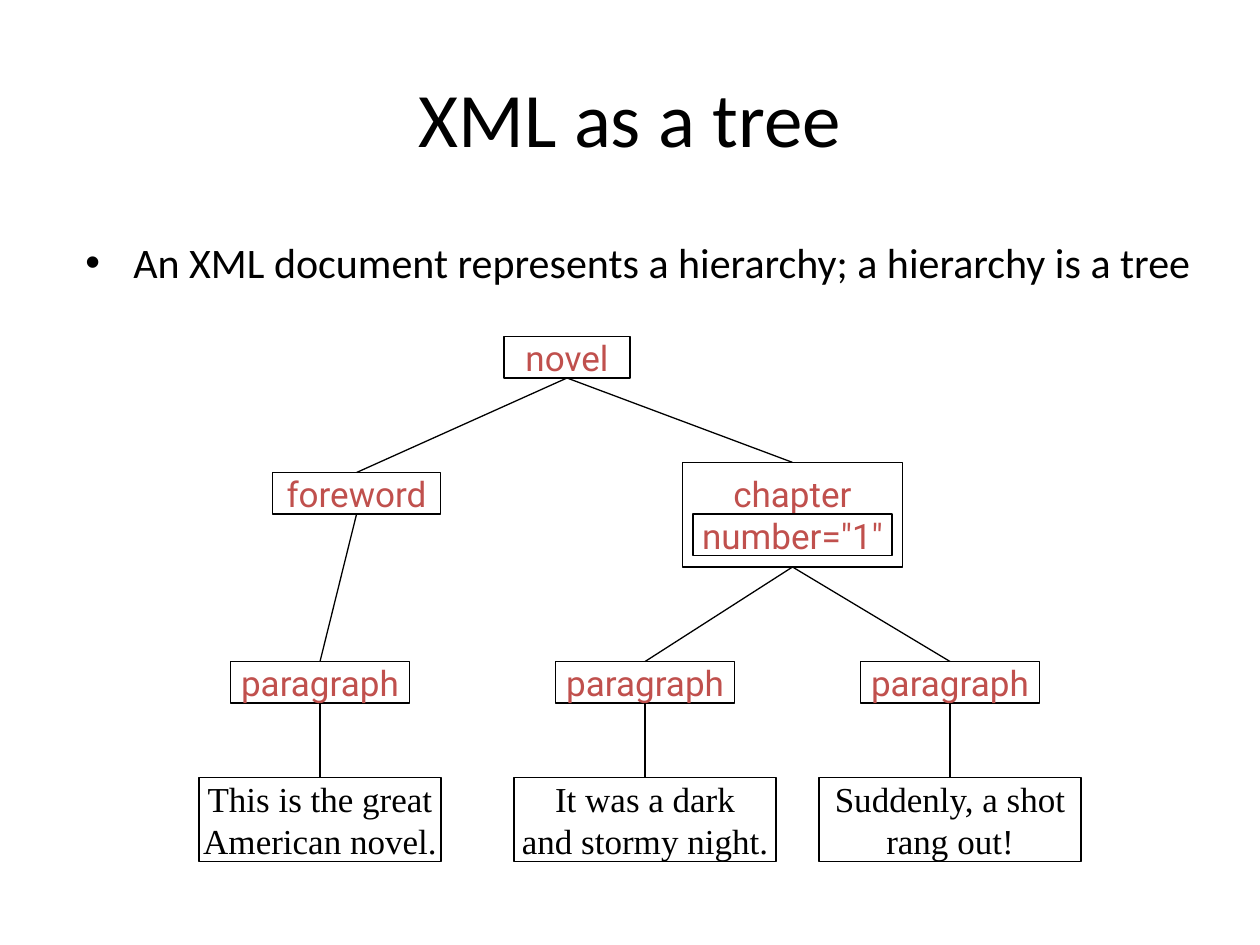
from lxml import etree
from pptx import Presentation, util as u
from pptx.dml.color import RGBColor
from pptx.enum import shapes, text
from pptx.oxml.ns import qn

BLACK, RED = "000000", "C0504D"
TOP, FOOT = 0, 2  # connection sites of a box


def color(code):
    return RGBColor.from_string(code)


class Page:
    title = {"name": "Calibri", "size": u.Pt(44)}
    body = {"name": "Calibri", "size": u.Pt(24)}
    tag = {"name": "Roboto", "size": u.Pt(20)}
    prose = {"name": "Times New Roman", "size": u.Pt(20)}
    mid = {"word_wrap": False, "vertical_anchor": text.MSO_ANCHOR.MIDDLE}

    def __init__(self, slide):
        self.slide = slide

    def style(self, part, values):
        for key, value in values.items():
            setattr(part, key, value)

    def fill_text(self, frame, words, font, code=BLACK,
                  align=text.PP_ALIGN.CENTER):
        para = frame.paragraphs[0]
        para.text = words
        para.alignment = align
        for run in para.runs:
            self.style(run.font, font)
            run.font.color.rgb = color(code)
        return para

    def label(self, area, words, font, align, anchor):
        box = self.slide.shapes.add_textbox(*map(u.Inches, area))
        self.style(box.text_frame, {"word_wrap": True, "vertical_anchor": anchor})
        return self.fill_text(box.text_frame, words, font, align=align)

    def bullet(self, area, words):
        para = self.label(area, words, self.body, text.PP_ALIGN.LEFT,
                          text.MSO_ANCHOR.TOP)
        props = para._p.get_or_add_pPr()
        props.set("marL", str(u.Inches(0.38)))
        props.set("indent", str(u.Inches(-0.38)))
        etree.SubElement(props, qn("a:buFont")).set("typeface", "Arial")
        etree.SubElement(props, qn("a:buChar")).set("char", "•")

    def box(self, mid, top, width, height, words="", font=None, code=BLACK,
            kind=shapes.MSO_SHAPE.RECTANGLE):
        area = (mid - width / 2, top, width, height)
        box = self.slide.shapes.add_shape(kind, *map(u.Inches, area))
        box.shadow.inherit = False
        box.fill.background()
        box.line.color.rgb = color(BLACK)
        box.line.width = u.Pt(0.75)
        self.style(box.text_frame, self.mid)
        if words:
            self.fill_text(box.text_frame, words, font, code)
        return box

    def node(self, mid, top, width, words, height=0.33, **more):
        return self.box(mid, top, width, height, words, self.tag, RED, **more)

    def link(self, parent, child):
        line = self.slide.shapes.add_connector(
            shapes.MSO_CONNECTOR.STRAIGHT, 0, 0, 0, 0)
        line.begin_connect(parent, FOOT)
        line.end_connect(child, TOP)
        line.line.color.rgb = color(BLACK)
        line.line.width = u.Pt(0.75)
        etree.SubElement(line._element.spPr, qn("a:effectLst"))


def main():
    deck = Presentation()
    deck.slide_width, deck.slide_height = u.Inches(10), u.Inches(7.5)
    page = Page(deck.slides.add_slide(deck.slide_layouts[6]))

    # Heading and statement
    page.label((0.5, 0.3, 9, 1.25), "XML as a tree", page.title,
               text.PP_ALIGN.CENTER, text.MSO_ANCHOR.MIDDLE)
    page.bullet((0.58, 1.83, 9.08, 0.5),
                "An XML document represents a hierarchy; a hierarchy is a tree")

    # Upper levels of the tree
    novel = page.node(4.5, 2.67, 1, "novel",
                      kind=shapes.MSO_SHAPE.FLOWCHART_PROCESS)
    fore = page.node(2.83, 3.75, 1.33, "foreword")
    chap = page.node(6.29, 3.67, 1.75, 'chapter\nnumber="1"', height=0.83)
    page.box(6.29, 4.08, 1.58, 0.33)  # frame of the attribute
    page.link(novel, fore)
    page.link(novel, chap)

    # Paragraphs, each with its text below
    leaves = [
        (fore, 2.54, 1.92, "This is the great\nAmerican novel."),
        (chap, 5.12, 2.08, "It was a dark\nand stormy night."),
        (chap, 7.54, 2.08, "Suddenly, a shot\nrang out!"),
    ]
    for parent, mid, width, words in leaves:
        para = page.node(mid, 5.25, 1.42, "paragraph")
        leaf = page.box(mid, 6.17, width, 0.67, words, page.prose)
        page.link(parent, para)
        page.link(para, leaf)

    deck.save("out.pptx")


if __name__ == "__main__":
    main()
